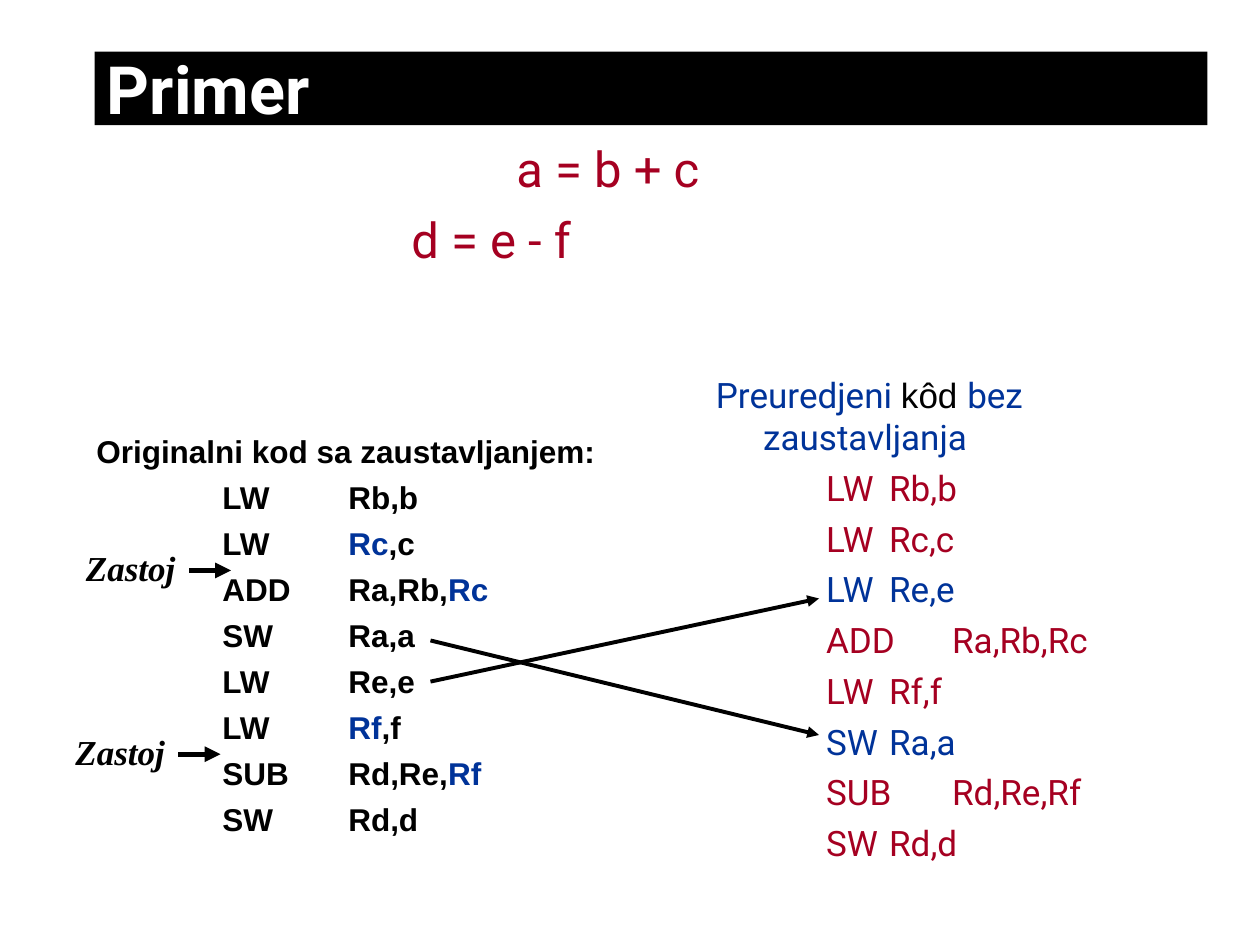
from dataclasses import dataclass
from lxml.etree import SubElement
from pptx import Presentation
from pptx.dml.color import RGBColor
from pptx.enum.shapes import MSO_CONNECTOR, MSO_SHAPE
from pptx.enum.text import MSO_ANCHOR, PP_ALIGN
from pptx.oxml.ns import qn
from pptx.util import Pt


@dataclass(frozen=True)
class Theme:
    black: str = "000000"
    white: str = "FFFFFF"
    red: str = "A50021"
    blue: str = "003399"
    main: str = "Roboto"
    code: str = "Arial"
    note: str = "Times New Roman"
    title: int = 38
    math: int = 28
    body: int = 20
    small: int = 18


class Deck:
    def __init__(self, theme):
        self.theme = theme
        self.file = Presentation()
        self.file.slide_width, self.file.slide_height = Pt(720), Pt(540)
        self.slide = self.file.slides.add_slide(self.file.slide_layouts[6])

    def style(self, run, font, size, color, bold=False, italic=False):
        run.font.name, run.font.size = font, Pt(size)
        run.font.bold, run.font.italic = bold, italic
        run.font.color.rgb = RGBColor.from_string(color)

    def banner(self, text, *place):
        bar = self.slide.shapes.add_shape(MSO_SHAPE.RECTANGLE, *map(Pt, place))
        bar.shadow.inherit = False
        bar.fill.solid()
        bar.fill.fore_color.rgb = RGBColor.from_string(self.theme.black)
        bar.line.fill.background()
        frame = bar.text_frame
        frame.text = text
        frame.vertical_anchor = MSO_ANCHOR.MIDDLE
        line = frame.paragraphs[0]
        line.alignment = PP_ALIGN.LEFT
        self.style(line.runs[0], self.theme.main, self.theme.title, self.theme.white, True)

    def text(self, place, lines, font, size, color, gap=0, hang=0, lead=None,
             bold=False, italic=False, wrap=True):
        box = self.slide.shapes.add_textbox(*map(Pt, place))
        frame = box.text_frame
        frame.word_wrap = wrap
        for row, words in enumerate(lines):
            line = frame.add_paragraph() if row else frame.paragraphs[0]
            self.tabs(line, hang)
            line.line_spacing = lead
            if row:
                line.space_before = Pt(gap)
            for part, piece in enumerate(words.split("|")):
                if piece:
                    run = line.add_run()
                    run.text = piece
                    ink = self.theme.blue if part % 2 else color
                    self.style(run, font, size, ink, bold, italic)
        return frame.paragraphs

    def tabs(self, line, hang):
        props = line._p.get_or_add_pPr()
        if hang:
            self.indent(line, hang, -hang)
        stops = SubElement(props, qn("a:tabLst"))
        for stop in range(8):
            SubElement(stops, qn("a:tab"), pos=str(Pt(72 * stop)), algn="l")

    def indent(self, line, left, first=0):
        props = line._p.get_or_add_pPr()
        props.set("marL", str(Pt(left)))
        props.set("indent", str(Pt(first)))

    def arrow(self, start, end, width):
        line = self.slide.shapes.add_connector(
            MSO_CONNECTOR.STRAIGHT, *map(Pt, (*start, *end)))
        line.line.width = Pt(width)
        line.line.color.rgb = RGBColor.from_string(self.theme.black)
        SubElement(line.line._get_or_add_ln(), qn("a:tailEnd"), type="triangle")
        SubElement(line._element.spPr, qn("a:effectLst"))

    def stall(self, left, top):
        theme = self.theme
        self.text((left, top, 65.5, 31.5), ["Zastoj"], theme.note, theme.body,
                  theme.black, bold=True, italic=True, wrap=False)
        level = top + 17
        self.arrow((left + 66, level), (left + 90, level), 3)


def main():
    theme = Theme()
    deck = Deck(theme)
    deck.banner("Primer", 54, 29.5, 636, 42)

    sums = deck.text((54, 75.6, 630, 86.4), ["a = b + c", "d = e - f"],
                     theme.main, theme.math, theme.red, gap=7)
    for line, left in zip(sums, (234, 174)):
        deck.indent(line, left)

    tuned = ["|Preuredjeni |kôd |bez zaustavljanja",
             "\t\tLW\tRb,b", "\t\tLW\tRc,c", "|\t\tLW\tRe,e",
             "\t\tADD\tRa,Rb,Rc", "\t\tLW\tRf,f", "|\t\tSW\tRa,a",
             "\t\tSUB\tRd,Re,Rf", "\t\tSW\tRd,d"]
    lines = deck.text((402, 210, 282, 288), tuned, theme.main, theme.body,
                      theme.red, gap=5, hang=27)
    deck.style(lines[0].runs[1], theme.code, theme.body, theme.black)

    first = ["Originalni kod sa zaustavljanjem:",
             "\tLW\tRb,b", "\tLW\t|Rc|,c", "\tADD\tRa,Rb,|Rc",
             "\tSW\tRa,a", "\tLW\tRe,e", "\tLW\t|Rf|,f",
             "\tSUB\tRd,Re,|Rf", "\tSW\tRd,d"]
    deck.text((48, 246, 299.5, 258), first, theme.code, theme.small,
              theme.black, gap=6.8, lead=0.9, bold=True, wrap=False)

    deck.arrow((246, 389.5), (468, 342), 2.25)
    deck.arrow((246, 366), (468, 420), 2.25)
    for left, top in ((36, 414), (42, 309)):
        deck.stall(left, top)
    deck.file.save("out.pptx")


if __name__ == "__main__":
    main()
